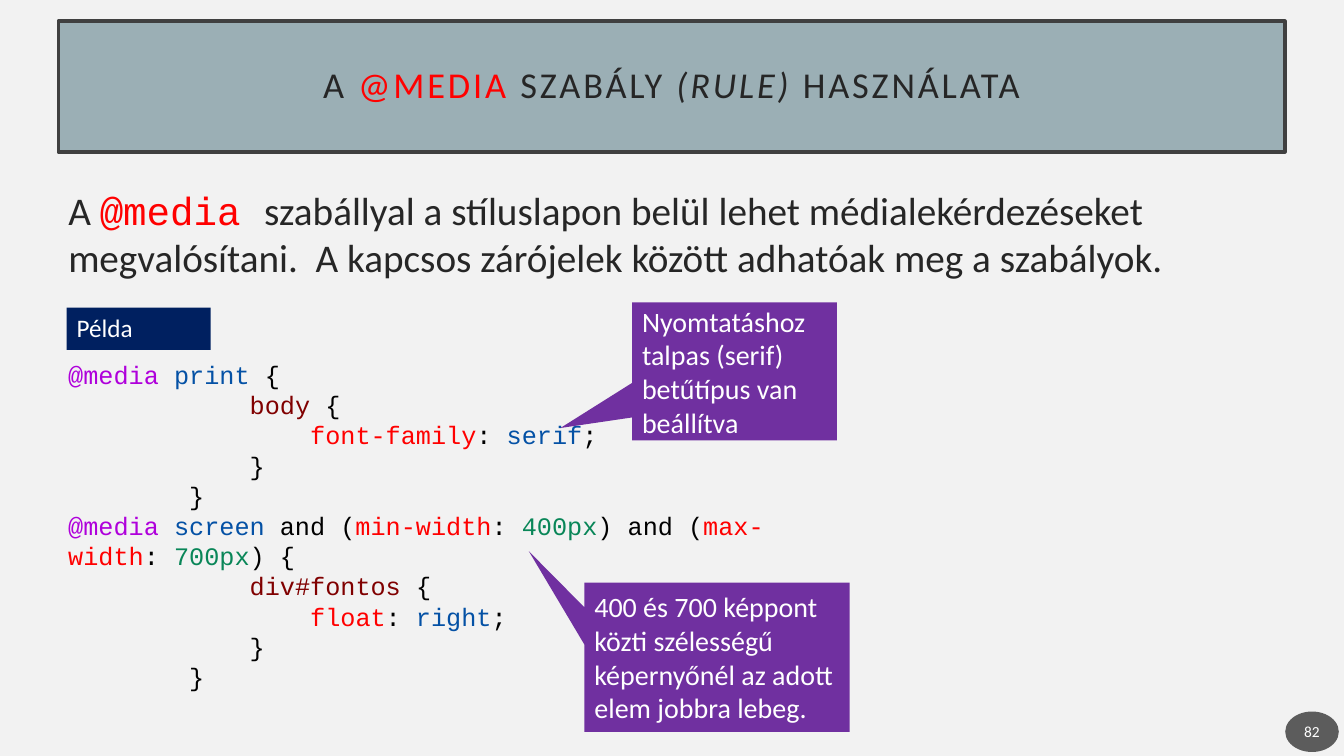
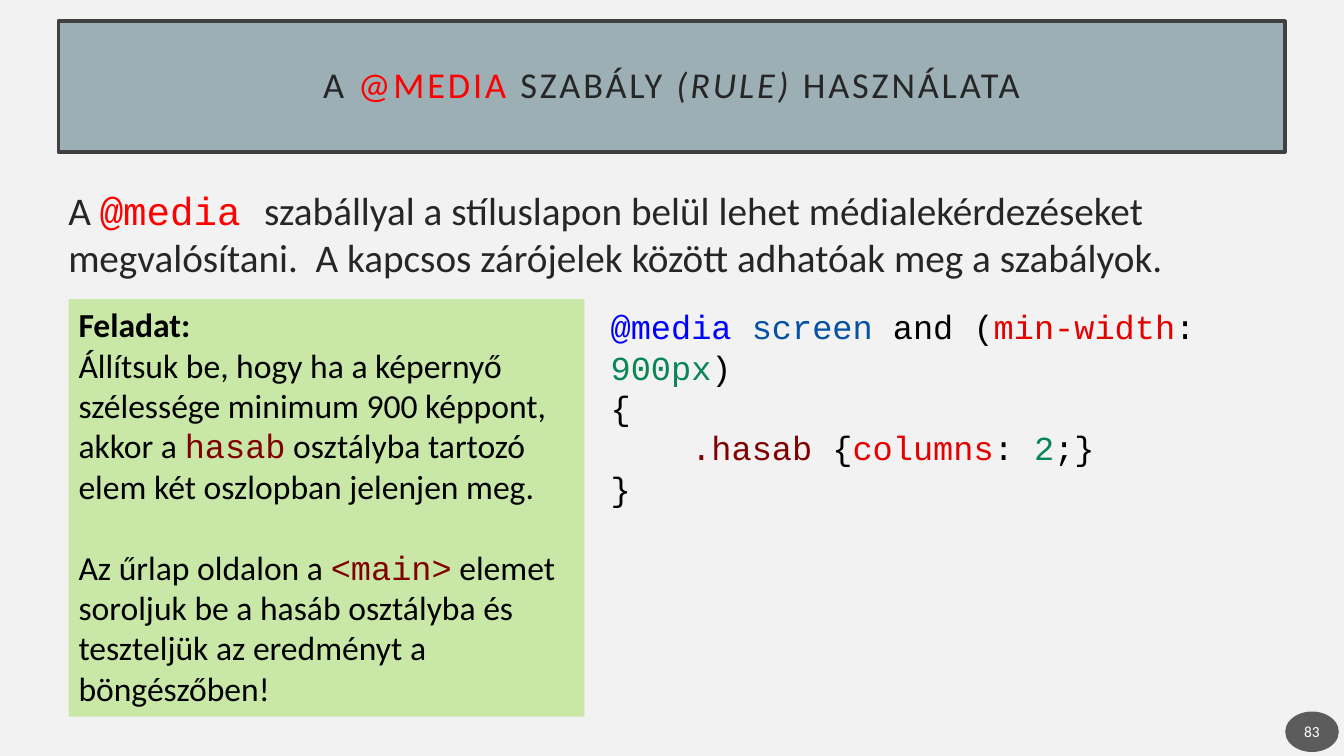
from lxml.etree import SubElement
from pptx import Presentation
from pptx.dml.color import RGBColor
from pptx.enum.shapes import MSO_SHAPE
from pptx.enum.text import MSO_ANCHOR, MSO_AUTO_SIZE, PP_ALIGN
from pptx.oxml.ns import qn
from pptx.util import Cm, Pt

PAPER = RGBColor(0xF2, 0xF2, 0xF2)
BAND = RGBColor(0x9B, 0xAF, 0xB5)
EDGE = RGBColor(0x40, 0x40, 0x40)
DARK = RGBColor(0x26, 0x26, 0x26)
BADGE = RGBColor(0x1D, 0x1D, 0x1D)
WHITE = RGBColor(0xFF, 0xFF, 0xFF)
BLACK = RGBColor(0x00, 0x00, 0x00)
RED = RGBColor(0xFF, 0x00, 0x00)
ROSE = RGBColor(0xE5, 0x00, 0x00)
PINK = RGBColor(0xAF, 0x00, 0xDB)
BLUE = RGBColor(0x04, 0x51, 0xA5)
BRIGHT = RGBColor(0x00, 0x00, 0xFF)
GREEN = RGBColor(0x09, 0x86, 0x58)
BROWN = RGBColor(0x80, 0x00, 0x00)
NAVY = RGBColor(0x00, 0x20, 0x60)
PURPLE = RGBColor(0x70, 0x30, 0xA0)
LIME = RGBColor(0xC9, 0xE7, 0xA7)
SANS = "Calibri"
MONO = "Courier New"

TITLE = (1.47, 0.53, 30.91, 3.3)
INTRO = (1.47, 4.57, 30.94, 5.26)
NUMBER = (32.39, 17.93, 1.35, 1.02)
MAIN = (1.47, 7.54, 30.94, 10.9)


def ink(text, color, **form):
    return text, dict(color=color, **form)


def say(para, text, size=18, color=BLACK, font=SANS, bold=False, italic=False, track=0):
    run = para.add_run()
    run.text = text
    face = run.font
    face.size, face.name, face.bold, face.italic = Pt(size), font, bold, italic
    face.color.rgb = color
    if track:
        run._r.get_or_add_rPr().set("spc", str(track * 100))


def write(shape, lines, align=PP_ALIGN.LEFT, anchor=MSO_ANCHOR.TOP, pad=(0.25, 0.13),
          lead=1.0, hard=False, **form):
    frame = shape.text_frame
    frame.word_wrap = True
    frame.auto_size = MSO_AUTO_SIZE.NONE
    frame.vertical_anchor = anchor
    frame.margin_left = frame.margin_right = Cm(pad[0])
    frame.margin_top = frame.margin_bottom = Cm(pad[1])
    for i, line in enumerate(lines):
        para = frame.add_paragraph() if i else frame.paragraphs[0]
        para.alignment, para.line_spacing, para.space_before = align, lead, Pt(0)
        for part in line:
            text, own = (part, {}) if isinstance(part, str) else part
            say(para, text.replace(" ", chr(160)) if hard else text, **{**form, **own})
    return frame


def place(shape, box):
    shape.left, shape.top, shape.width, shape.height = map(Cm, box)


def block(slide, kind, box, fill):
    shape = slide.shapes.add_shape(kind, *map(Cm, box))
    shape.shadow.inherit = False
    shape.fill.solid()
    shape.fill.fore_color.rgb = fill
    shape.line.fill.background()
    return shape


def head(slide, box):
    title = slide.shapes.title
    place(title, box)
    title.fill.solid()
    title.fill.fore_color.rgb = BAND
    title.line.color.rgb = EDGE
    title.line.width = Pt(2.5)
    words = ["A ", ink("@MEDIA ", RED), "SZABÁLY ", ink("(RULE) ", DARK, italic=True), "HASZNÁLATA"]
    write(title, [words], align=PP_ALIGN.CENTER, anchor=MSO_ANCHOR.MIDDLE, pad=(0.5, 0.5),
          lead=0.9, size=26, color=DARK, track=2)


def intro(slide, box):
    body = slide.placeholders[1]
    place(body, box)
    words = ["A ", ink("@media ", RED, font=MONO),
             "szabállyal a stíluslapon belül lehet médialekérdezéseket megvalósítani.  "
             "A kapcsos zárójelek között adhatóak meg a szabályok."]
    frame = write(body, [words], size=28, color=DARK)
    props = frame.paragraphs[0]._p.get_or_add_pPr()
    props.set("marL", "0")
    props.set("indent", "0")
    SubElement(props, qn("a:buNone"))


def badge(slide, box, number):
    disc = block(slide, MSO_SHAPE.OVAL, box, BADGE)
    tint = disc.fill._xPr.find(qn("a:solidFill"))[0]
    SubElement(tint, qn("a:alpha")).set("val", "70000")
    write(disc, [[str(number)]], align=PP_ALIGN.CENTER, anchor=MSO_ANCHOR.MIDDLE,
          pad=(0.05, 0.13), size=11, color=WHITE)


def code(slide, box, lines, **form):
    write(slide.shapes.add_textbox(*map(Cm, box)), lines, font=MONO, **form)


def note(slide, box, tip, text):
    shape = block(slide, MSO_SHAPE.RECTANGULAR_CALLOUT, box, PURPLE)
    shape.adjustments[0], shape.adjustments[1] = tip
    write(shape, [[text]], anchor=MSO_ANCHOR.MIDDLE, size=20, color=WHITE)


def rule(query, pick, name, value):
    return [
        [ink("@media ", PINK), *query, " {"],
        [" " * 12, ink(pick, BROWN), " {"],
        [" " * 16, ink(name, RED), ": ", ink(value, BLUE), ";"],
        [" " * 12 + "}"],
        [" " * 8 + "}"],
    ]


def sample(slide, box):
    x, y, w, h = box
    screen = [ink("screen", BLUE), " and (", ink("min-width", RED), ": ", ink("400px", GREEN),
              ") and (", ink("max-width", RED), ": ", ink("700px", GREEN), ")"]
    lines = (rule([ink("print", BLUE)], "body", "font-family", "serif")
             + rule(screen, "div#fontos", "float", "right"))
    code(slide, (x, y + 1.38, 22.48, 8.71), lines, hard=True)
    label = block(slide, MSO_SHAPE.RECTANGLE, (x + 0.21, y + 0.21, 3.63, 1.07), NAVY)
    write(label, [["Példa"]], color=WHITE)
    note(slide, (x + 14.46, y + 0.08, 5.16, 3.48), (-0.85, 0.41),
         "Nyomtatáshoz talpas (serif) betűtípus van beállítva")
    note(slide, (x + 13.26, y + 7.14, 6.68, 3.76), (-0.71, -0.71),
         "400 és 700 képpont közti szélességű képernyőnél az adott elem jobbra lebeg.")


def task(slide, box):
    x, y, w, h = box
    card = block(slide, MSO_SHAPE.RECTANGLE, (x + 0.26, y, 13, 10.52), LIME)
    frame = write(card, [
        [ink("Feladat:", BLACK, bold=True)],
        ["Állítsuk be, hogy ha a képernyő szélessége minimum 900 képpont, akkor a ",
         ink("hasab", BROWN, font=MONO),
         " osztályba tartozó elem két oszlopban jelenjen meg."],
        ["Az űrlap oldalon a ", ink("<main>", BROWN, font=MONO),
         " elemet soroljuk be a hasáb osztályba és teszteljük az eredményt a böngészőben!"],
    ], size=24)
    frame.paragraphs[2].space_before = Pt(29)
    code(slide, (x + 13.67, y + 0.05, 18.54, 5.4), [
        [ink("@media ", BRIGHT), ink("screen", BLUE), " and (", ink("min-width", ROSE), ": ",
         ink("900px", GREEN), ")"],
        ["{"],
        ["    ", ink(".hasab", BROWN), " {", ink("columns", ROSE), ": ", ink("2", GREEN), ";}"],
        ["}"],
    ], size=24)


def main():
    deck = Presentation()
    deck.slide_width, deck.slide_height = Cm(33.87), Cm(19.05)
    back = deck.slide_master.background.fill
    back.solid()
    back.fore_color.rgb = PAPER
    for number, fill in enumerate((sample, task), 82):
        slide = deck.slides.add_slide(deck.slide_layouts[1])
        head(slide, TITLE)
        intro(slide, INTRO)
        badge(slide, NUMBER, number)
        fill(slide, MAIN)
    deck.save("out.pptx")


if __name__ == "__main__":
    main()
